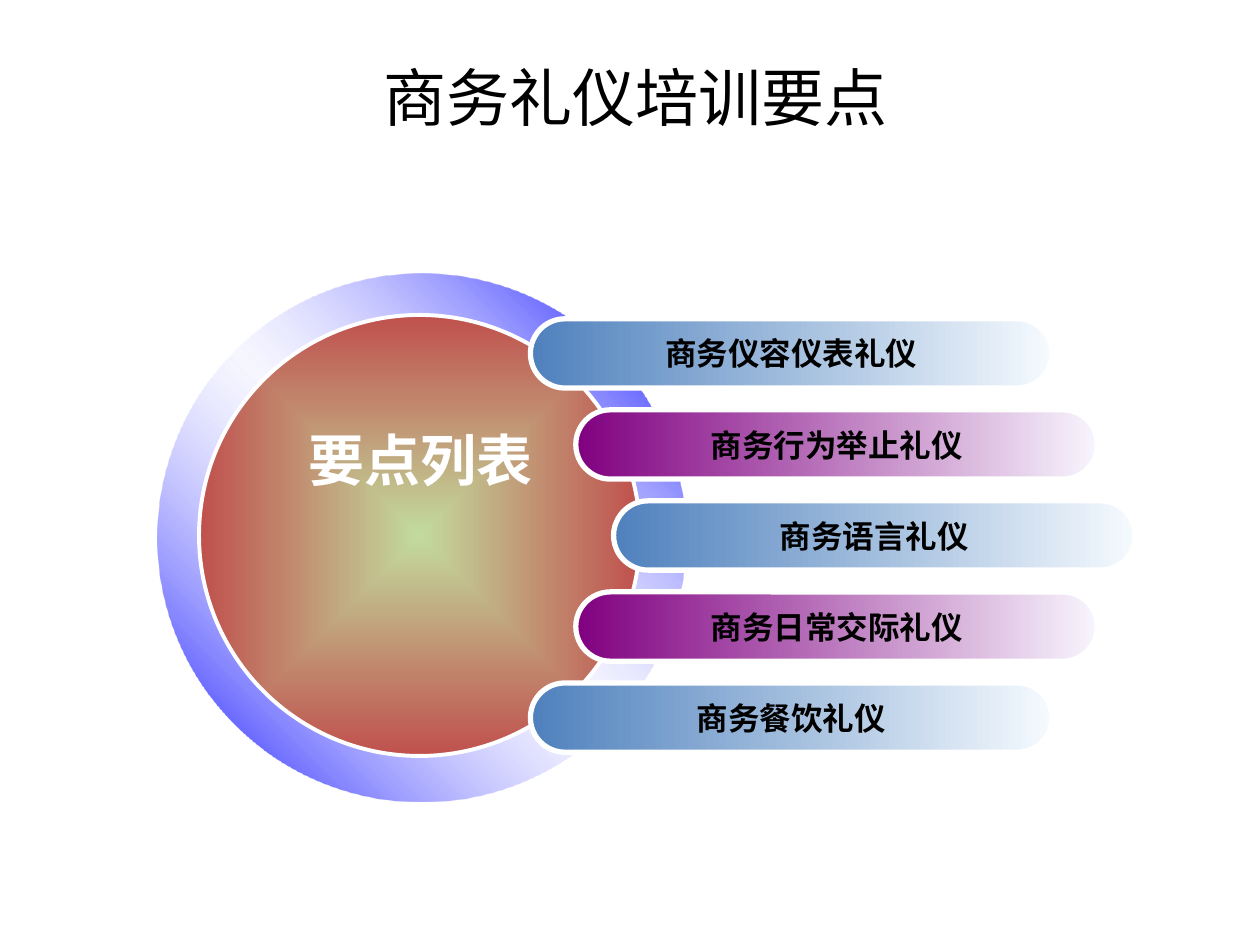
from lxml import etree
from pptx import Presentation
from pptx.dml.color import RGBColor
from pptx.enum.shapes import MSO_SHAPE as Geom
from pptx.enum.text import MSO_ANCHOR as Anchor, MSO_AUTO_SIZE as Fit, PP_ALIGN as Align
from pptx.oxml import parse_xml
from pptx.oxml.ns import qn, nsdecls
from pptx.util import Inches, Pt

BLACK = RGBColor(0x00, 0x00, 0x00)
WHITE = RGBColor(0xFF, 0xFF, 0xFF)
NAVY = RGBColor(0x00, 0x00, 0xFF)
LILAC = RGBColor(0xC1, 0xC1, 0xFF)
GREEN = RGBColor(0xC2, 0xDB, 0x9D)
RED = RGBColor(0xC0, 0x50, 0x4D)
BLUE = RGBColor(0x4F, 0x81, 0xBD)
ICE = RGBColor(0xF5, 0xFA, 0xFE)
PURPLE = RGBColor(0x80, 0x00, 0x80)
MIST = RGBColor(0xF8, 0xF5, 0xFD)

# Content
TITLE = "商务礼仪培训要点"
HUB = "要点列表"
TOPICS = [  # text, left edge
    ("商务仪容仪表礼仪", 4.21),
    ("商务行为举止礼仪", 4.57),
    ("商务语言礼仪", 4.87),
    ("商务日常交际礼仪", 4.57),
    ("商务餐饮礼仪", 4.21),
]
SHADES = [(BLUE, ICE), (PURPLE, MIST)]
TOP, STEP, WIDE, HIGH = 2.53, 0.7225, 4.14, 0.55
LINEAR = '<a:lin ang="{}" scaled="0"/>'
CENTRED = '<a:path path="rect"><a:fillToRect l="50000" t="50000" r="50000" b="50000"/></a:path>'


def set_grad(shape, stops, way):
    """Fill with stops of (percent, colour, opacity percent)."""
    marks = "".join(
        f'<a:gs pos="{pos * 1000}"><a:srgbClr val="{color}">'
        f'<a:alpha val="{alpha * 1000}"/></a:srgbClr></a:gs>'
        for pos, color, alpha in stops)
    shape.fill.background()
    props = shape._element.spPr
    props.replace(props.find(qn("a:noFill")), parse_xml(
        f'<a:gradFill {nsdecls("a")} rotWithShape="1"><a:gsLst>{marks}</a:gsLst>{way}</a:gradFill>'))


def add_form(geom, box, stops, way, line=None):
    shape = slide.shapes.add_shape(geom, *map(Inches, box))
    shape.shadow.inherit = False
    set_grad(shape, stops, way)
    if line:
        shape.line.color.rgb = WHITE
        shape.line.width = Pt(line)
    else:
        shape.line.fill.background()
    return shape


def set_text(shape, text, size, font, color, bold=False, wrap=False, anchor=Anchor.MIDDLE):
    frame = shape.text_frame
    frame.text = text
    frame.word_wrap = wrap
    frame.vertical_anchor = anchor
    para = frame.paragraphs[0]
    para.alignment = Align.CENTER
    run = para.runs[0]
    run.font.size = Pt(size)
    run.font.name = font
    run.font.bold = bold
    run.font.color.rgb = color
    return run


deck = Presentation()
deck.slide_width, deck.slide_height = Inches(10), Inches(7.5)
slide = deck.slides.add_slide(deck.slide_layouts[6])

# Title
title = slide.shapes.add_textbox(*map(Inches, (1.17, 0.5, 7.75, 0.53)))
set_text(title, TITLE, 36, "Calibri", BLACK, wrap=True)

# Ring and disc
ring = add_form(Geom.DONUT, (1.25, 2.17, 4.19, 4.19),
                [(0, NAVY, 100), (50, LILAC, 12), (100, NAVY, 100)],
                LINEAR.format(315 * 60000))
ring.adjustments[0] = 0.37 / 4.19
add_form(Geom.OVAL, (1.58, 2.5, 3.5, 3.5),
         [(0, GREEN, 100), (100, RED, 100)], CENTRED, 2.25)

# Topic bars
for i, (text, left) in enumerate(TOPICS):
    dark, light = SHADES[i % 2]
    bar = add_form(Geom.ROUNDED_RECTANGLE, (left, TOP + i * STEP, WIDE, HIGH),
                   [(0, dark, 100), (100, light, 100)], LINEAR.format(0), 3)
    bar.adjustments[0] = 0.5
    set_text(bar, text, 18, "Arial", BLACK, True)

# Disc label with a text shadow
label = slide.shapes.add_textbox(*map(Inches, (2.35, 3.33, 1.98, 0.64)))
run = set_text(label, HUB, 32, "Arial", WHITE, True, anchor=Anchor.TOP)
label.text_frame.auto_size = Fit.SHAPE_TO_FIT_TEXT
glow = etree.Element(qn("a:effectLst"))
cast = etree.SubElement(glow, qn("a:outerShdw"), dist="35921", dir="2700000")
etree.SubElement(cast, qn("a:srgbClr"), val=str(BLACK))
run.font._element.find(qn("a:solidFill")).addnext(glow) if hasattr(run.font, "_element") \
    else run._r.rPr.find(qn("a:solidFill")).addnext(glow)

deck.save("out.pptx")
